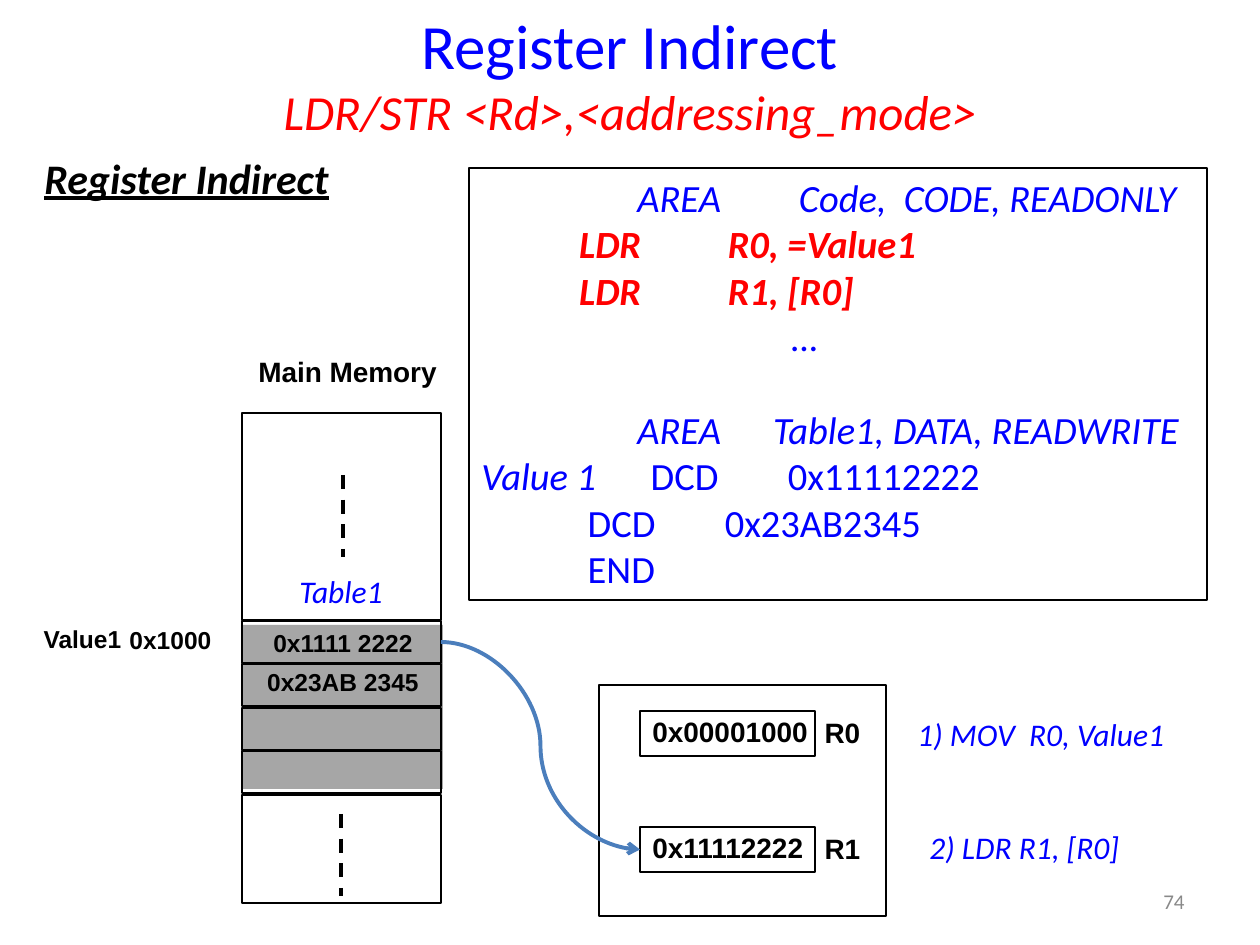
"""Build a slide on register indirect addressing, with code, memory and registers."""
from lxml import etree
from pptx import Presentation, util as u
from pptx.dml.color import RGBColor
from pptx.enum import dml, shapes, text
from pptx.oxml.ns import qn

PX = 914400 / 126
COLOURS = {"blue": "0000FF", "red": "FF0000", "black": "000000",
           "grey": "A6A6A6", "number": "898989", "curve": "4B7EBC"}
CALIBRI, ARIAL = "Calibri", "Arial"

HEADING = dict(name=CALIBRI, size=36, colour="blue")
SYNTAX = dict(name=CALIBRI, size=28, colour="red", italic=True)
SECTION = dict(name=CALIBRI, size=24, colour="black", bold=True, italic=True, underline=True)
NOTE = dict(name=CALIBRI, size=18, colour="blue", italic=True)
NUMBER = dict(name=CALIBRI, size=12, colour="number")
MEMORY = dict(name=ARIAL, size=14, colour="black", bold=True)
REGISTER = dict(MEMORY, size=16)
PLAIN = dict(name=CALIBRI, size=22, colour="blue")
DIRECTIVE = dict(PLAIN, italic=True)
LOAD = dict(DIRECTIVE, colour="red", bold=True)

CODE = [
    ("                  AREA         Code,  CODE, READONLY", DIRECTIVE),
    ("\t    LDR          R0, =Value1", LOAD),
    ("\t    LDR          R1, [R0]", LOAD),
    ("\t    \t\t              …", DIRECTIVE),
    ("                  AREA      Table1, DATA, READWRITE", DIRECTIVE),
    ([("Value 1", True), ("\t     DCD        0x11112222", False)], PLAIN),
    ("\t     DCD        0x23AB2345", PLAIN),
    ("\t     END", PLAIN),
]
DATA_LINE, DATA_GAP = 4, 27
TITLES = [("Register Indirect", HEADING), ("LDR/STR <Rd>,<addressing_mode>", SYNTAX)]
WORDS = ["0x1111 2222", "0x23AB 2345"]
LABELS = [
    ("Main Memory", REGISTER, (226, 352, 243, 43)),
    ("0x1000", MEMORY, (102, 622, 137, 39)),
    ("Value1", MEMORY, (14, 621, 137, 39)),
]
REGISTERS = [("R0", "0x00001000", 711), ("R1", "0x11112222", 827)]
NOTES = [
    ("1) MOV  R0, Value1", (905, 709, 276, 50)),
    ("2) LDR R1, [R0]", (917, 822, 218, 50)),
    ("Table1", (287, 566, 110, 50)),
]
MEMORY_LEFT, MEMORY_WIDTH = 242, 199
CELL_TOP, CELL_HEIGHT, CELL_COUNT, CELLS_SPAN = 621, 42, 4, 174
MEMORY_ENDS = [(413, 207), (795, 108)]
GAPS = [(343, 475), (341, 814)]
GAP_LENGTH = 82


def px(value):
    return u.Emu(round(value * PX))


def rgb(name):
    return RGBColor.from_string(COLOURS[name])


def style_font(font, name, size, colour, bold=False, italic=None, underline=None):
    font.name, font.size, font.bold = name, u.Pt(size), bold
    font.color.rgb = rgb(colour)
    if italic is not None:
        font.italic = italic
    if underline:
        font.underline = True


def write(box, lines, align="LEFT", anchor="TOP", wrap=True, spacing=None, before=None):
    frame = box.text_frame
    frame.word_wrap = wrap
    frame.vertical_anchor = getattr(text.MSO_ANCHOR, anchor)
    for index, (content, style) in enumerate(lines):
        para = frame.add_paragraph() if index else frame.paragraphs[0]
        para.alignment = getattr(text.PP_ALIGN, align)
        if spacing:
            para.line_spacing = spacing
        if before and index in before:
            para.space_before = u.Pt(before[index])
        style_font(para.font, **style)
        spans = [(content, None)] if isinstance(content, str) else content
        for words, italic in spans:
            span = para.add_run()
            span.text = words
            if italic is not None:
                span.font.italic = italic


def add_text(page, place, lines, **layout):
    box = page.shapes.add_textbox(*map(px, place))
    write(box, lines, **layout)


def add_box(page, place, fill=None, line=1):
    box = page.shapes.add_shape(shapes.MSO_SHAPE.RECTANGLE, *map(px, place))
    box.shadow.inherit = False
    if fill:
        box.fill.solid()
        box.fill.fore_color.rgb = rgb(fill)
    else:
        box.fill.background()
    if line:
        box.line.color.rgb = rgb("black")
        box.line.width = u.Pt(line)
    else:
        box.line.fill.background()
    return box


def add_line(page, kind, ends, colour, width):
    line = page.shapes.add_connector(kind, *map(px, ends))
    line.line.color.rgb = rgb(colour)
    line.line.width = u.Pt(width)
    etree.SubElement(line._element.spPr, qn("a:effectLst"))
    return line


def draw_memory(page):
    shaded = add_box(page, (243, 625, 200, 164), fill="grey", line=None)
    write(shaded, [(word, MEMORY) for word in WORDS], align="CENTER", spacing=0.9, before={1: 7})
    for top, height in MEMORY_ENDS:
        add_box(page, (MEMORY_LEFT, top, MEMORY_WIDTH, height))
    for x, top in GAPS:
        gap = add_line(page, shapes.MSO_CONNECTOR.STRAIGHT,
                       (x, top, x, top + GAP_LENGTH), "black", 2)
        gap.line.dash_style = dml.MSO_LINE.DASH
    tops = [CELL_TOP + CELLS_SPAN * row // CELL_COUNT for row in range(CELL_COUNT)]
    cells = [add_box(page, (MEMORY_LEFT, top, MEMORY_WIDTH, CELL_HEIGHT)) for top in tops]
    return cells[0]


def draw_registers(page):
    add_box(page, (599, 685, 287, 231))
    for name, value, top in REGISTERS:
        register = add_box(page, (640, top, 175, 45))
        write(register, [(value, REGISTER)], anchor="MIDDLE", wrap=False, spacing=0.9)
        add_text(page, (760, top + 2, 165, 44), [(name, REGISTER)], align="CENTER", spacing=0.9)
    return register


def draw_load(page, cell, register):
    curve = add_line(page, shapes.MSO_CONNECTOR.CURVE, (441, 642, 640, 849), "curve", 2.25)
    curve.begin_connect(cell, 3)
    curve.end_connect(register, 1)
    etree.SubElement(curve.line._get_or_add_ln(), qn("a:tailEnd"), type="arrow")


def main():
    deck = Presentation()
    deck.slide_width, deck.slide_height = px(1260), px(945)
    page = deck.slides.add_slide(deck.slide_layouts[6])
    cell = draw_memory(page)
    register = draw_registers(page)
    draw_load(page, cell, register)
    listing = add_box(page, (469, 168, 738, 432), line=0.75)
    write(listing, CODE, before={DATA_LINE: DATA_GAP})
    for words, style, place in LABELS:
        add_text(page, place, [(words, style)], align="CENTER", spacing=0.9)
    for words, place in NOTES:
        add_text(page, place, [(words, NOTE)], wrap=False)
    add_text(page, (63, 0, 1134, 94), TITLES, align="CENTER")
    add_text(page, (32, 146, 1134, 73), [("Register Indirect", SECTION)])
    add_text(page, (903, 876, 294, 50), [("74", NUMBER)], align="RIGHT", anchor="MIDDLE")
    deck.save("out.pptx")


if __name__ == "__main__":
    main()
